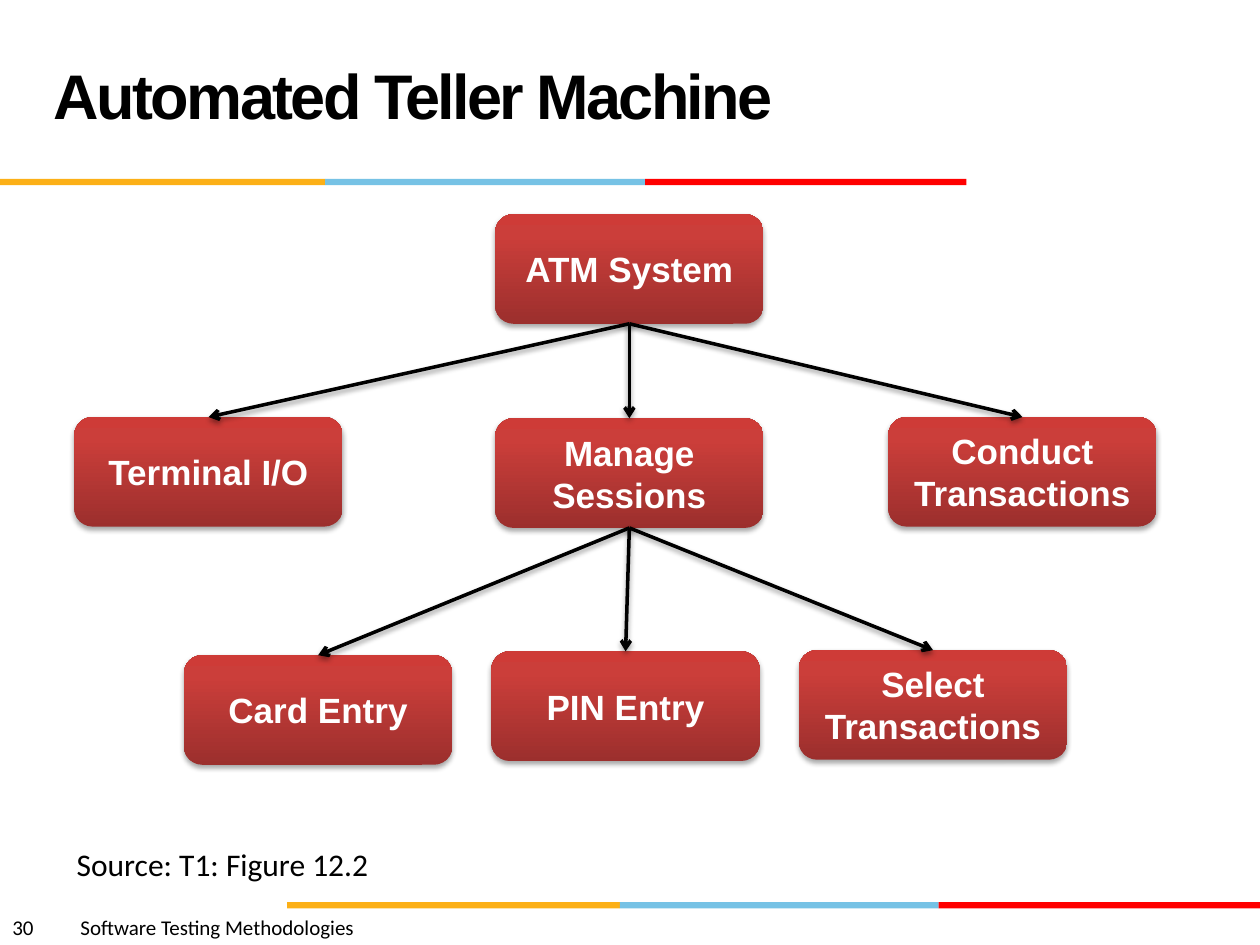
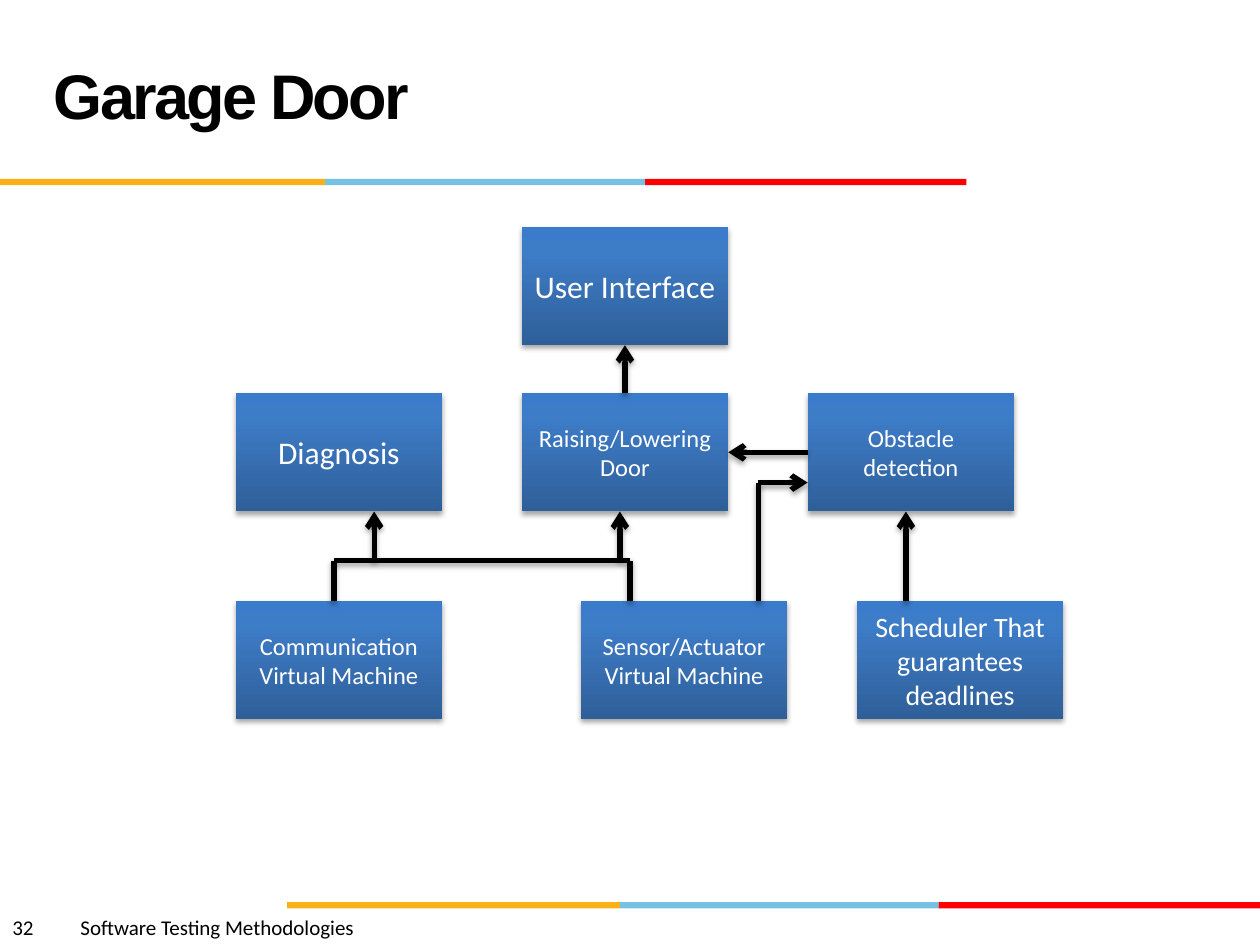
from lxml import etree
from pptx import Presentation
from pptx.dml import color as dml_color
from pptx.enum import shapes, text
from pptx.oxml import ns
from pptx.util import Inches, Pt

# Shared style
BLACK, WHITE = "000000", "FFFFFF"
BAND_COLORS = ("FCB017", "76C2E5", "FF0000")
RED_GRADIENT = ((0, "9C2F2D"), (80, "CB3E3A"), (100, "CE3B37"))
BLUE_GRADIENT = ((0, "2F5F99"), (80, "3D7CC7"), (100, "3A7CCB"))
COURSE = "Software Testing Methodologies"

# Box sizes
ATM_BOX = (2.13, 0.87)
DOOR_BOX = (1.64, 0.94)


def rgb(hex_color):
    return dml_color.RGBColor.from_string(hex_color)


def add_element(parent, tag, **attributes):
    element = etree.SubElement(parent, ns.qn(tag))
    for name, value in attributes.items():
        element.set(name, str(value))
    return element


def add_color(parent, hex_color):
    return add_element(parent, "a:srgbClr", val=hex_color)


def add_shadow(shape, opacity=35, distance=1.8):
    effects = add_element(shape._element.spPr, "a:effectLst")
    shadow = add_element(effects, "a:outerShdw", blurRad=Pt(3.1), dist=Pt(distance),
                         dir=90 * 60000, rotWithShape=0)
    add_element(add_color(shadow, BLACK), "a:alpha", val=opacity * 1000)


def fill_gradient(shape, stops):
    shape.fill.gradient()
    shape.fill.gradient_angle = 90
    stop_list = shape._element.spPr.find(ns.qn("a:gradFill")).find(ns.qn("a:gsLst"))
    for old_stop in list(stop_list):
        stop_list.remove(old_stop)
    for position, hex_color in stops:
        add_color(add_element(stop_list, "a:gs", pos=position * 1000), hex_color)


def write_text(shape, content, size=18, font="Calibri", color=BLACK, bold=False,
               align=text.PP_ALIGN.LEFT, anchor=text.MSO_ANCHOR.TOP, wrap=True,
               line_spacing=None, tracking=None, tab=None):
    frame = shape.text_frame
    frame.word_wrap = wrap
    frame.vertical_anchor = anchor
    paragraph = frame.paragraphs[0]
    paragraph.alignment = align
    if line_spacing:
        paragraph.line_spacing = Pt(line_spacing)
    if tab:
        tab_list = add_element(paragraph._p.get_or_add_pPr(), "a:tabLst")
        add_element(tab_list, "a:tab", pos=Inches(tab), algn="l")
    run = paragraph.add_run()
    run.text = content
    run.font.size = Pt(size)
    run.font.name = font
    run.font.bold = bold
    run.font.color.rgb = rgb(color)
    if tracking:
        run._r.get_or_add_rPr().set("spc", str(int(tracking * 100)))


def add_text(slide, content, left, top, width, height, **text_format):
    box = slide.shapes.add_textbox(Inches(left), Inches(top), Inches(width), Inches(height))
    write_text(box, content, **text_format)


def add_bands(slide, top, edges):
    for color, left, right in zip(BAND_COLORS, edges, edges[1:]):
        band = slide.shapes.add_shape(shapes.MSO_SHAPE.RECTANGLE, Inches(left), Inches(top),
                                      Inches(right - left), Inches(0.05))
        band.fill.solid()
        band.fill.fore_color.rgb = rgb(color)
        band.line.fill.background()
        band.shadow.inherit = False


def add_slide(presentation, title, number):
    slide = presentation.slides.add_slide(presentation.slide_layouts[6])
    add_bands(slide, 7.16, (2.28, 4.92, 7.45, 10))
    add_bands(slide, 1.42, (0, 2.58, 5.12, 7.67))
    add_text(slide, f"{number}\t{COURSE}", 0, 7.21, 5, 0.3, size=12, tab=0.54)
    add_text(slide, title, 0.33, 0.17, 6.92, 1.25, size=36, font="Arial", bold=True,
             anchor=text.MSO_ANCHOR.MIDDLE, line_spacing=36, tracking=-1.5)
    return slide


def add_box(slide, kind, content, left, top, box_size, gradient, **text_format):
    width, height = box_size
    box = slide.shapes.add_shape(kind, Inches(left), Inches(top),
                                 Inches(width), Inches(height))
    fill_gradient(box, gradient)
    box.line.fill.background()
    add_shadow(box)
    write_text(box, content, color=WHITE, align=text.PP_ALIGN.CENTER,
               anchor=text.MSO_ANCHOR.MIDDLE, **text_format)
    return box


def add_line(slide, start=(0, 0), end=(0, 0), width=3, arrow=True, parent=None, child=None,
             **shadow_format):
    """Draw between two points, or from the bottom of parent to the top of child."""
    line = slide.shapes.add_connector(shapes.MSO_CONNECTOR.STRAIGHT,
                                      *(Inches(value) for value in (*start, *end)))
    if parent is not None:
        line.begin_connect(parent, 2)
        line.end_connect(child, 0)
    line.line.width = Pt(width)
    line.line.color.rgb = rgb(BLACK)
    if arrow:
        add_element(line.line._get_or_add_ln(), "a:tailEnd", type="arrow")
    add_shadow(line, **shadow_format)


def build_atm_slide(presentation):
    slide = add_slide(presentation, "Automated Teller Machine", 30)

    # Functions of the machine
    positions = {
        "ATM System": (3.93, 1.7),
        "Terminal I/O": (0.59, 3.31),
        "Manage Sessions": (3.93, 3.32),
        "Conduct Transactions": (7.05, 3.31),
        "Card Entry": (1.46, 5.2),
        "PIN Entry": (3.9, 5.17),
        "Select Transactions": (6.34, 5.16),
    }
    boxes = {
        name: add_box(slide, shapes.MSO_SHAPE.ROUNDED_RECTANGLE, name, left, top, ATM_BOX,
                      RED_GRADIENT, size=20, font="Arial", bold=True)
        for name, (left, top) in positions.items()
    }

    # Decomposition arrows
    children = {
        "ATM System": ("Terminal I/O", "Manage Sessions", "Conduct Transactions"),
        "Manage Sessions": ("Card Entry", "PIN Entry", "Select Transactions"),
    }
    for parent, names in children.items():
        for name in names:
            add_line(slide, width=2, parent=boxes[parent], child=boxes[name],
                     opacity=38, distance=1.6)

    add_text(slide, "Source: T1: Figure 12.2", 0.51, 6.66, 2.55, 0.4, wrap=False)


def build_garage_slide(presentation):
    slide = add_slide(presentation, "Garage Door", 32)

    # Components, on three rows
    left_column, middle_column, right_column = (1.87 + 2.27 * i for i in range(3))
    top_row, middle_row, bottom_row = 1.8, 3.12, 4.77
    components = (
        ("User Interface", middle_column, top_row, 18),
        ("Diagnosis", left_column, middle_row, 18),
        ("Raising/Lowering Door", middle_column, middle_row, 14),
        ("Obstacle detection", right_column, middle_row, 14),
        ("Communication Virtual Machine", left_column, bottom_row, 14),
        ("Sensor/Actuator Virtual Machine", 4.61, bottom_row, 14),
        ("Scheduler That guarantees deadlines", 6.8, bottom_row, 16),
    )
    for name, left, top, size in components:
        add_box(slide, shapes.MSO_SHAPE.RECTANGLE, name, left, top, DOOR_BOX,
                BLUE_GRADIENT, size=size)

    # Arrows between components
    middle_bottom = middle_row + DOOR_BOX[1]
    bus, branch = 4.45, 3.83
    arrows = (
        ((4.96, middle_row), (4.96, top_row + DOOR_BOX[1])),
        ((4.92, bus), (4.92, middle_bottom)),
        ((2.97, bus), (2.97, middle_bottom)),
        ((7.19, bottom_row), (7.19, middle_bottom)),
        ((right_column, 3.59), (middle_column + DOOR_BOX[0], 3.59)),
        ((6.02, branch), (right_column, branch)),
    )
    for start, end in arrows:
        add_line(slide, start, end)

    # Plain segments that feed the arrows
    segments = (
        ((2.65, bottom_row), (2.65, bus)),
        ((5, bus), (2.65, bus)),
        ((5, bottom_row), (5, bus)),
        ((6.02, bottom_row), (6.02, branch)),
    )
    for start, end in segments:
        add_line(slide, start, end, arrow=False)


def main():
    presentation = Presentation()
    presentation.slide_width = Inches(10)
    presentation.slide_height = Inches(7.5)
    build_atm_slide(presentation)
    build_garage_slide(presentation)
    presentation.save("out.pptx")


if __name__ == "__main__":
    main()
